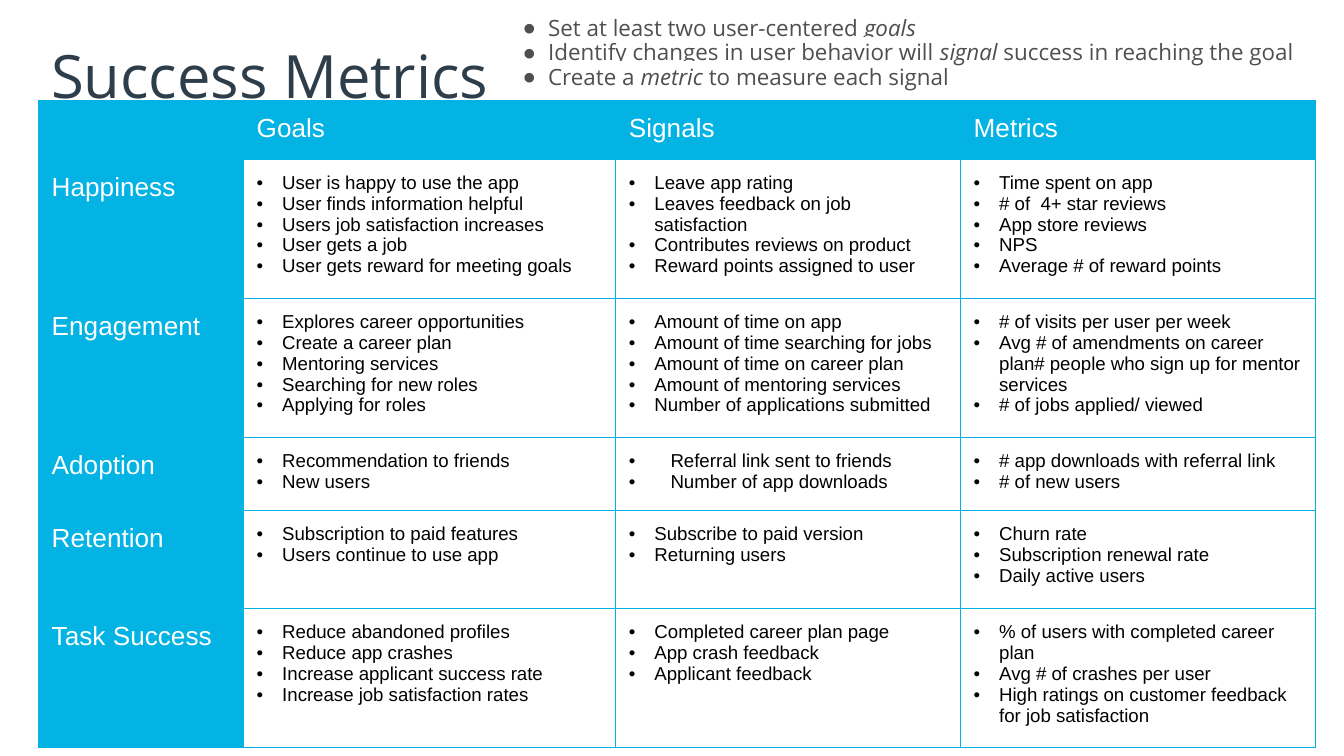
import lxml.etree
import pptx
import pptx.dml.color
import pptx.enum.text
import pptx.oxml.ns
import pptx.util

PX = 4572  # EMU per px, 200 px to the inch
RGB = pptx.dml.color.RGBColor
CYAN = RGB(0x02, 0xB3, 0xE4)
NAVY = RGB(0x2D, 0x3D, 0x4A)
GRAY = RGB(0x4F, 0x4F, 0x4F)
WHITE = RGB(0xFF, 0xFF, 0xFF)
BLACK = RGB(0x00, 0x00, 0x00)

TITLE = dict(name="Open Sans", size=pptx.util.Pt(32), color=NAVY)
GUIDE = dict(name="Open Sans", size=pptx.util.Pt(12), color=GRAY)
HEAD = dict(name="Arial", size=pptx.util.Pt(14), color=WHITE)
BODY = dict(name="Arial", size=pptx.util.Pt(10), color=BLACK)

INSET = 20
INDENT = 38
WIDE_INDENT = 62
COLS = [305, 554, 513, 529]
ROWS = [83, 195, 195, 109, 146, 195]

GUIDELINES = [  # every second piece is italic
    ["Set at least two user-centered ", "goals"],
    ["Identify changes in user behavior will ", "signal", " success in reaching the goal"],
    ["Create a ", "metric", " to measure each signal"],
]
HEADERS = ["", "Goals", "Signals", "Metrics"]
METRICS = {
    "Happiness": [
        ["User is happy to use the app", "User finds information helpful",
         "Users job satisfaction increases", "User gets a job",
         "User gets reward for meeting goals"],
        ["Leave app rating", "Leaves feedback on job satisfaction",
         "Contributes reviews on product", "Reward points assigned to user"],
        ["Time spent on app", "# of  4+ star reviews", "App store reviews", "NPS",
         "Average # of reward points"],
    ],
    "Engagement": [
        ["Explores career opportunities", "Create a career plan", "Mentoring services",
         "Searching for new roles", "Applying for roles"],
        ["Amount of time on app", "Amount of time searching for jobs",
         "Amount of time on career plan", "Amount of mentoring services",
         "Number of applications submitted"],
        ["# of visits per user per week",
         "Avg # of amendments on career plan# people who sign up for mentor services",
         "# of jobs applied/ viewed"],
    ],
    "Adoption": [
        ["Recommendation to friends", "New users"],
        ["Referral link sent to friends", "Number of app downloads"],
        ["# app downloads with referral link", "# of new users"],
    ],
    "Retention": [
        ["Subscription to paid features", "Users continue to use app"],
        ["Subscribe to paid version", "Returning users"],
        ["Churn rate", "Subscription renewal rate", "Daily active users"],
    ],
    "Task Success": [
        ["Reduce abandoned profiles", "Reduce app crashes",
         "Increase applicant success rate", "Increase job satisfaction rates"],
        ["Completed career plan page", "App crash feedback", "Applicant feedback"],
        ["% of users with completed career plan", "Avg # of crashes per user",
         "High ratings on customer feedback for job satisfaction"],
    ],
}


def add_el(parent, tag, **attrs):
    return lxml.etree.SubElement(parent, pptx.oxml.ns.qn(tag), attrs)


def add_color(parent, tag, color):
    add_el(add_el(parent, tag), "a:srgbClr", val=str(color))


def add_run(p, text, fmt, italic=False):
    r = p.add_run()
    r.text = text
    for key, value in fmt.items():
        if key == "color":
            r.font.color.rgb = value
        else:
            setattr(r.font, key, value)
    if italic:
        r.font.italic = True
    return r


def add_bullet(p, char, color, indent):
    pPr = p._p.get_or_add_pPr()
    pPr.set("marL", str(indent * PX))
    pPr.set("indent", str(-indent * PX))
    add_color(pPr, "a:buClr", color)
    add_el(pPr, "a:buFont", typeface="Arial")
    add_el(pPr, "a:buChar", char=char)


def paragraphs(tf, items):
    """Yield a paragraph of the frame for each item."""
    for i, item in enumerate(items):
        yield (tf.add_paragraph() if i else tf.paragraphs[0]), item


def set_insets(obj, inset):
    for side in ("left", "top", "right", "bottom"):
        setattr(obj, "margin_" + side, inset * PX)


def text_box(s, box, inset, wrap, anchor):
    tf = s.shapes.add_textbox(*(v * PX for v in box)).text_frame
    set_insets(tf, inset)
    tf.word_wrap = wrap
    tf.vertical_anchor = anchor
    return tf


def add_title(s, box):
    tf = text_box(s, box, 8, False, pptx.enum.text.MSO_ANCHOR.MIDDLE)
    add_run(tf.paragraphs[0], "Success Metrics", TITLE)


def add_guidelines(s, box):
    tf = text_box(s, box, INSET, True, pptx.enum.text.MSO_ANCHOR.TOP)
    for p, pieces in paragraphs(tf, GUIDELINES):
        add_bullet(p, "●", GRAY, INDENT)
        p.line_spacing = 0.9
        for i, text in enumerate(pieces):
            r = add_run(p, text, GUIDE, italic=i % 2 == 1)
            # White highlight belongs right after the text fill
            rPr = r._r.get_or_add_rPr()
            add_color(rPr, "a:highlight", WHITE)
            rPr.find(pptx.oxml.ns.qn("a:solidFill")).addnext(rPr[-1])


def style_cell(cell, filled):
    tcPr = cell._tc.get_or_add_tcPr()
    for side in ("L", "R", "T", "B"):
        ln = add_el(tcPr, "a:ln" + side, w=str(pptx.util.Pt(0.75)))
        add_color(ln, "a:solidFill", CYAN)
    if filled:
        cell.fill.solid()
        cell.fill.fore_color.rgb = CYAN
    else:
        cell.fill.background()


def add_metrics_table(s, box):
    frame = s.shapes.add_table(len(ROWS), len(COLS), *(v * PX for v in box))
    table = frame.table
    table.first_row = table.horz_banding = False
    for col, width in zip(table.columns, COLS):
        col.width = width * PX
    for row, height in zip(table.rows, ROWS):
        row.height = height * PX

    grid = [HEADERS] + [[name] + lists for name, lists in METRICS.items()]
    for i, values in enumerate(grid):
        for j, value in enumerate(values):
            cell = table.cell(i, j)
            is_head = isinstance(value, str)
            style_cell(cell, is_head)
            if not value:
                continue
            set_insets(cell, INSET)
            if is_head:
                add_run(cell.text_frame.paragraphs[0], value, HEAD)
                continue
            indent = WIDE_INDENT if (values[0], j) == ("Adoption", 2) else INDENT
            for p, text in paragraphs(cell.text_frame, value):
                add_bullet(p, "•", BLACK, indent)
                add_run(p, text, BODY)


def main():
    prs = pptx.Presentation()
    prs.slide_width, prs.slide_height = 2000 * PX, 1125 * PX
    s = prs.slides.add_slide(prs.slide_layouts[6])
    add_title(s, (68, 48, 670, 126))
    add_metrics_table(s, (57, 150, sum(COLS), sum(ROWS)))
    add_guidelines(s, (758, 6, 1234, 146))
    prs.save("out.pptx")


if __name__ == "__main__":
    main()
